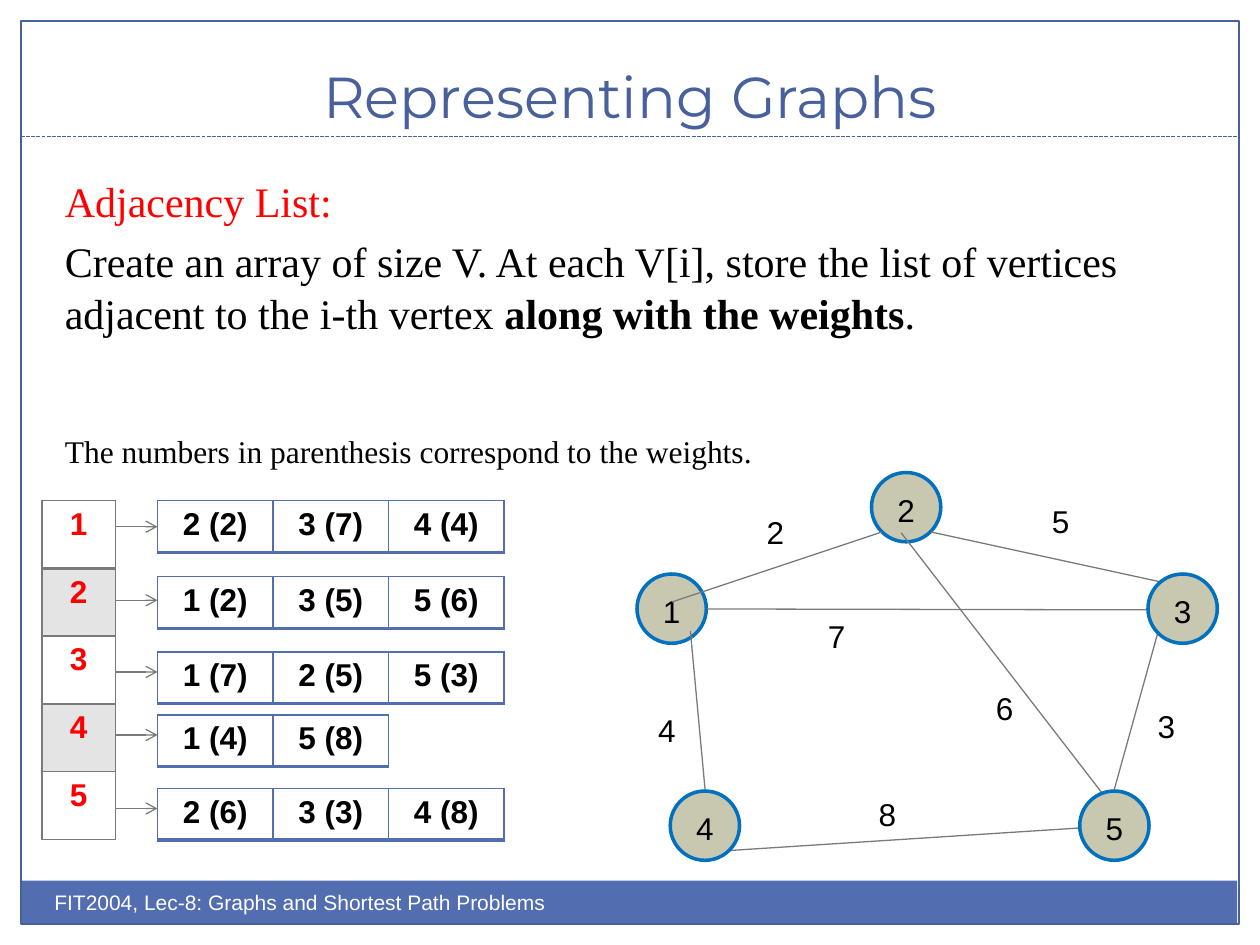
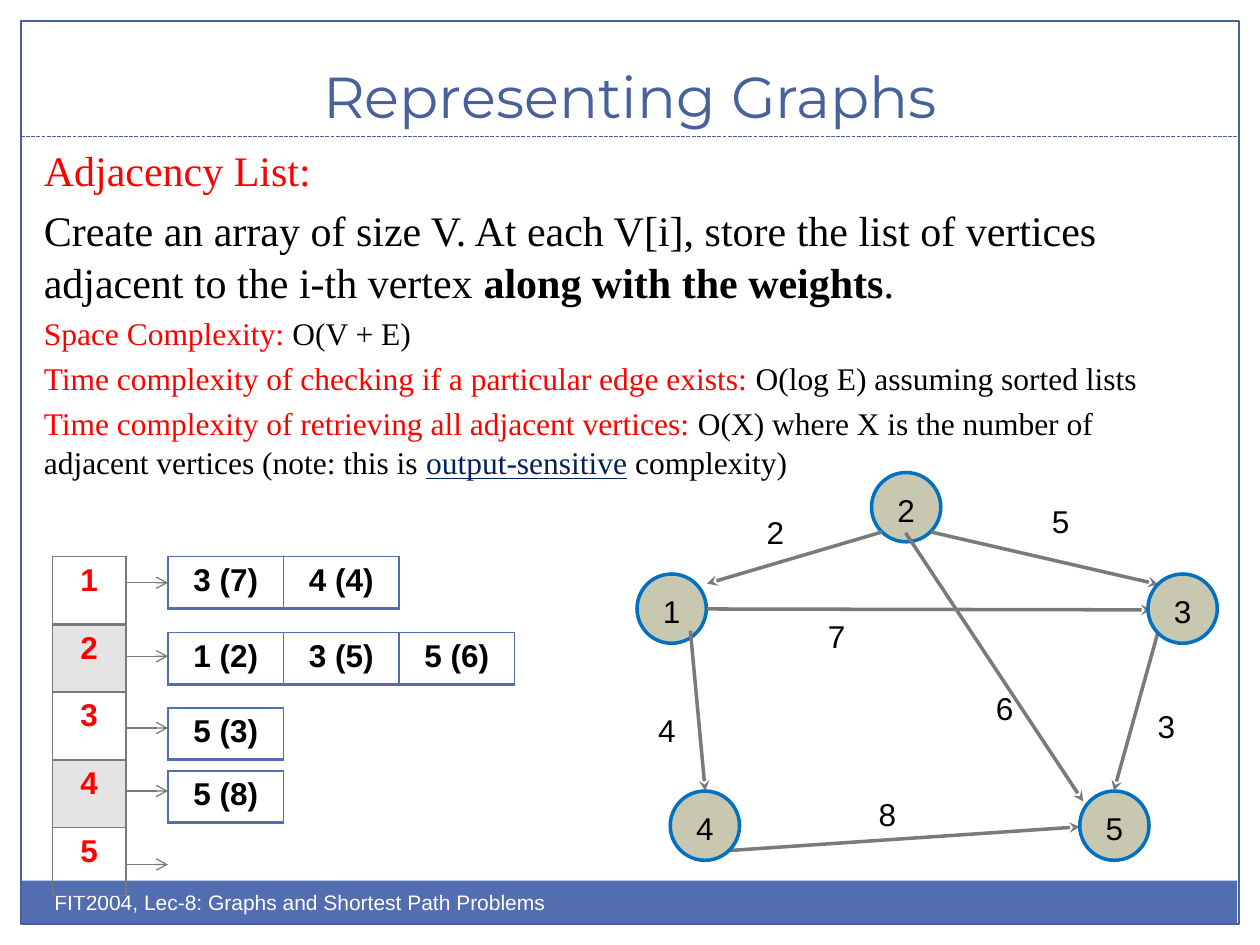
from lxml import etree
from pptx import Presentation
from pptx.dml.color import RGBColor
from pptx.enum.dml import MSO_LINE
from pptx.enum.shapes import MSO_CONNECTOR, MSO_SHAPE
from pptx.enum.text import MSO_ANCHOR, PP_ALIGN
from pptx.oxml.ns import qn
from pptx.util import Pt

LEFT, CENTER = PP_ALIGN.LEFT, PP_ALIGN.CENTER
TOP, MIDDLE, BOTTOM = MSO_ANCHOR.TOP, MSO_ANCHOR.MIDDLE, MSO_ANCHOR.BOTTOM
RECT, OVAL = MSO_SHAPE.RECTANGLE, MSO_SHAPE.OVAL
STRAIGHT = MSO_CONNECTOR.STRAIGHT
DASH = MSO_LINE.SQUARE_DOT

COLORS = {
    "title": "48609B",
    "band": "526DB0",
    "white": "FFFFFF",
    "black": "000000",
    "red": "FF0000",
    "navy": "002060",
    "gray": "7A7A7A",
    "shade": "E4E4E4",
    "node": "C8C8B1",
    "ring": "0070C0",
}
SANS, SERIF, HEAD = "Arial", "Times New Roman", "Montserrat"

NODE = 39.6
NODES = {1: (0, 58), 2: (134, 0), 3: (292, 58), 4: (19, 182), 5: (253, 182)}
EDGES = {
    2: ((140, 34), (20, 74)),
    5: ((168, 34), (306, 64)),
    4: ((30.5, 90.5), (39, 182)),
    8: ((53, 216), (263, 202.5)),
    7: ((40, 78), (294, 78.5)),
    3: ((297.5, 92), (272.5, 182)),
    6: ((151, 34.5), (269.5, 188)),
}
ARROWS = EDGES | {
    2: ((140, 34), (40, 63.5)),
    5: ((168, 34), (298, 64)),
    8: ((53, 216), (253, 202.5)),
    6: ((153.5, 34.5), (255, 188)),
}
WEIGHTS = {2: (67, 19.5), 5: (230, 13.5), 4: (5, 133), 8: (131, 181),
           7: (102, 79), 3: (290.5, 130.5), 6: (198, 120)}

ROWS = [(0, 15), (43.5, 57), (86.5, 98), (122.5, 134), (164.5, 176)]
CELL, SLOT, SLOT_H, GAP = 66, 42, 38.75, 24

INTRO = [
    [("Adjacency List:", {"size": 24, "color": "red"})],
    [("Create an array of size V. At each V[i], store the list of vertices "
      "adjacent to the i-th vertex ", {"size": 24}),
     ("along with the weights", {"size": 24, "bold": True}),
     (".", {"size": 24})],
]
NOTE = [[("The numbers in parenthesis correspond to the weights.", {"gap": 53})]]
COSTS = [
    [("Space Complexity: ", {"color": "red"}), ("O(V + E)", {})],
    [("Time complexity of checking if a particular edge exists: ", {"color": "red"}),
     ("O(log E) assuming sorted lists", {})],
    [("Time complexity of retrieving all adjacent vertices: ", {"color": "red"}),
     ("O(X) where X is the number of adjacent vertices (note: this is ", {}),
     ("output-sensitive", {"color": "navy", "under": True}),
     (" complexity)", {})],
]


def rgb(name):
    return RGBColor.from_string(COLORS[name])


def pts(*values):
    return [Pt(value) for value in values]


def write(frame, text, align=LEFT, anchor=TOP, wrap=True, space=None, **base):
    paras = [[(text, {})]] if isinstance(text, str) else text
    frame.word_wrap = wrap
    frame.vertical_anchor = anchor
    for index, runs in enumerate(paras):
        para = frame.paragraphs[0] if index == 0 else frame.add_paragraph()
        para.alignment = align
        if space:
            para.line_spacing = space
        first = base | runs[0][1]
        para.space_before = Pt(first.get("gap", first["size"] * 0.2) if index else 0)
        for words, extra in runs:
            form = base | extra
            run = para.add_run()
            run.text = words
            font = run.font
            font.name = form["font"]
            font.size = Pt(form["size"])
            font.bold = form.get("bold", False)
            font.underline = form.get("under", False)
            font.color.rgb = rgb(form["color"])


def label(slide, box, text, **form):
    shape = slide.shapes.add_textbox(*pts(*box))
    write(shape.text_frame, text, **form)


def block(slide, kind, box, fill=None, line=None, width=0.75):
    shape = slide.shapes.add_shape(kind, *pts(*box))
    shape.shadow.inherit = False
    if fill:
        shape.fill.solid()
        shape.fill.fore_color.rgb = rgb(fill)
    else:
        shape.fill.background()
    if line:
        shape.line.color.rgb = rgb(line)
        shape.line.width = Pt(width)
    else:
        shape.line.fill.background()
    return shape


def link(slide, start, end, color="gray", width=0.75, head=None, dash=None):
    wire = slide.shapes.add_connector(STRAIGHT, *pts(*start, *end))
    wire.line.color.rgb = rgb(color)
    wire.line.width = Pt(width)
    if dash:
        wire.line.dash_style = dash
    props = wire._element.spPr
    if head:
        etree.SubElement(props.find(qn("a:ln")), qn("a:tailEnd"), type=head)
    etree.SubElement(props, qn("a:effectLst"))


def edge(cell, color, base):
    props = cell._tc.get_or_add_tcPr()
    for side in "LRTB":
        width = base if side == "B" else 1
        line = etree.SubElement(props, qn(f"a:ln{side}"), w=str(Pt(width)))
        fill = etree.SubElement(line, qn("a:solidFill"))
        etree.SubElement(fill, qn("a:srgbClr"), val=COLORS[color])


def grid(slide, box, rows, line, color, base, shade=False):
    shape = slide.shapes.add_table(len(rows), len(rows[0]), *pts(*box))
    table = shape.table
    table.first_row = table.horz_banding = False
    for r, row in enumerate(rows):
        for c, text in enumerate(row):
            cell = table.cell(r, c)
            edge(cell, line, base if r == 0 else 1)
            if shade and r % 2:
                cell.fill.solid()
                cell.fill.fore_color.rgb = rgb("shade")
            else:
                cell.fill.background()
            write(cell.text_frame, text, align=CENTER, font=SANS, size=18,
                  color=color, bold=True)


def lists(slide, left, top, items):
    slots = [[str(n + 1)] for n in range(len(items))]
    grid(slide, (left, top, SLOT, SLOT_H * len(slots)), slots,
         "gray", "red", 2, shade=True)
    start = left + SLOT
    for (drop, mid), row in zip(ROWS, items):
        link(slide, (start, top + mid), (start + GAP, top + mid), head="arrow")
        if row:
            grid(slide, (start + GAP, top + drop, CELL * len(row), 29.5),
                 [row], "band", "black", 2)


def node(slide, left, top, name):
    dx, dy = NODES[name]
    shape = block(slide, OVAL, (left + dx, top + dy, NODE, NODE), "node", "ring", 2)
    frame = shape.text_frame
    frame.margin_left = frame.margin_right = frame.margin_bottom = 0
    frame.margin_top = Pt(3)
    write(frame, str(name), align=CENTER, anchor=MIDDLE, wrap=False,
          font=SANS, size=18, color="black")


def graph(slide, left, top, edges, width=0.75, head=None):
    for name in (1, 2):
        node(slide, left, top, name)
    for ends in edges.values():
        start, end = [(left + x, top + y) for x, y in ends]
        link(slide, start, end, width=width, head=head)
    for name in (3, 4, 5):
        node(slide, left, top, name)
    for weight, (dx, dy) in WEIGHTS.items():
        label(slide, (left + dx, top + dy, 24.5, 28.8), str(weight), wrap=False,
              font=SANS, size=18, color="black")


def base(deck):
    slide = deck.slides.add_slide(deck.slide_layouts[5])
    block(slide, RECT, (11.5, 503.3, 695.5, 24.5), "band")
    block(slide, RECT, (12, 12, 696, 516), line="title")
    link(slide, (12, 78), (708, 78), color="title", dash=DASH)
    title = slide.shapes.title
    title.left, title.top, title.width, title.height = pts(24, 18, 672, 60)
    write(title.text_frame, "Representing Graphs", align=CENTER, anchor=BOTTOM,
          font=HEAD, size=33, color="title")
    label(slide, (24, 504.7, 360, 28.8),
          "FIT2004, Lec-8: Graphs and Shortest Path Problems",
          font=SANS, size=12, color="white")
    return slide


def page(deck, body, spot, items, corner, edges, **style):
    slide = base(deck)
    label(slide, (*spot, 678, 360), body, space=1.03,
          font=SERIF, size=18, color="black")
    lists(slide, *corner, items)
    graph(slide, 364, 270, edges, **style)


def main():
    deck = Presentation()
    deck.slide_width, deck.slide_height = pts(720, 540)
    page(deck, INTRO + NOTE, (30, 96), [
        ["2 (2)", "3 (7)", "4 (4)"],
        ["1 (2)", "3 (5)", "5 (6)"],
        ["1 (7)", "2 (5)", "5 (3)"],
        ["1 (4)", "5 (8)"],
        ["2 (6)", "3 (3)", "4 (8)"],
    ], (24, 286), EDGES)
    page(deck, INTRO + COSTS, (18, 78), [
        ["3 (7)", "4 (4)"],
        ["1 (2)", "3 (5)", "5 (6)"],
        ["5 (3)"],
        ["5 (8)"],
        [],
    ], (30, 318), ARROWS, width=2, head="stealth")
    deck.save("out.pptx")


if __name__ == "__main__":
    main()
